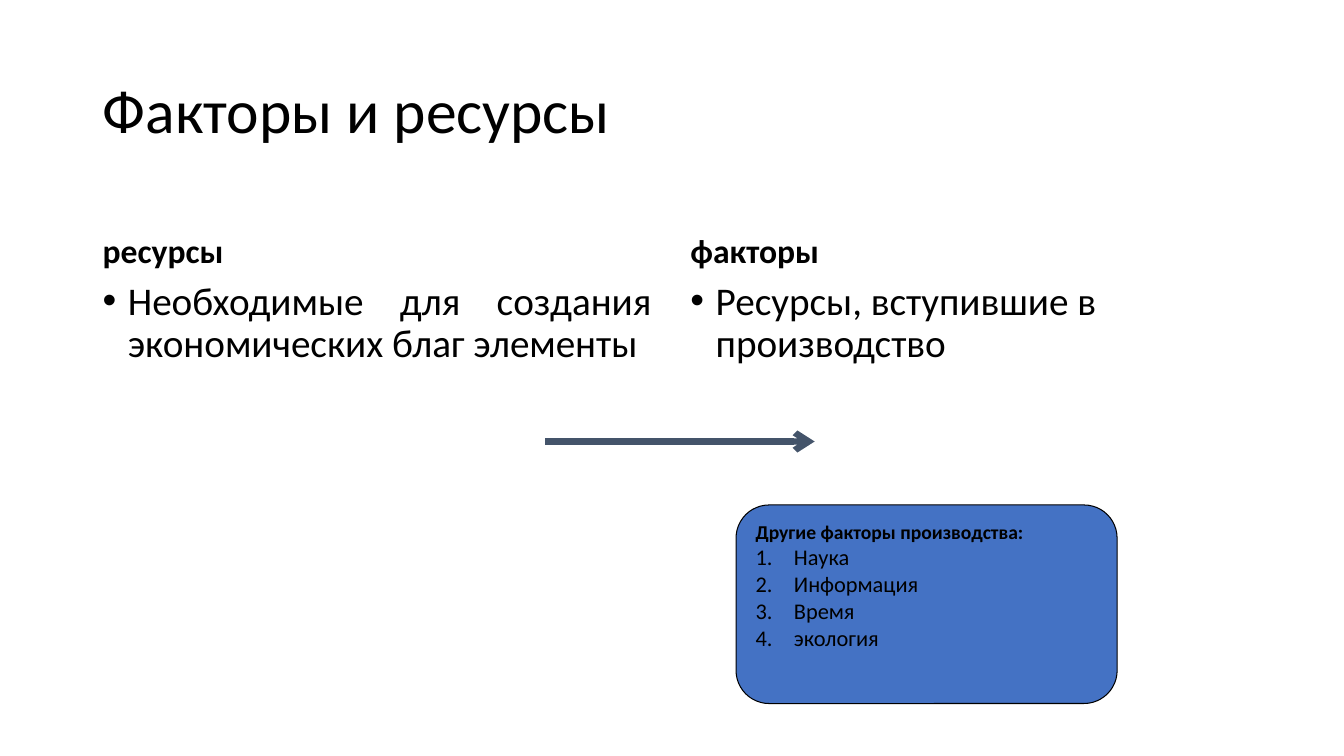
from collections import namedtuple

from lxml import etree
from pptx import Presentation
from pptx.dml.color import RGBColor
from pptx.enum.shapes import MSO_CONNECTOR, MSO_SHAPE
from pptx.enum.text import MSO_ANCHOR, PP_ALIGN
from pptx.oxml.ns import qn
from pptx.util import Emu, Pt

Box = namedtuple("Box", "left top width height")

PX = 9144  # 100 px to the inch
FONT = "Calibri"
BLACK, BLUE, SLATE = "000000", "4472C4", "44546A"
HEADING_HEIGHT = 90


def px(length):
    return Emu(length * PX)


def color(hex_code):
    return RGBColor.from_string(hex_code)


def add_span(para, text, size, bold=False):
    span = para.add_run()
    span.text = text
    span.font.name = FONT
    span.font.size = Pt(size)
    span.font.bold = bold
    span.font.color.rgb = color(BLACK)


def add_marker(para, tag, indent, **attributes):
    """Give the paragraph a hanging bullet or number."""
    properties = para._p.get_or_add_pPr()
    properties.set("marL", str(px(indent)))
    properties.set("indent", str(-px(indent)))
    if tag == "a:buChar":
        etree.SubElement(properties, qn("a:buFont"), typeface="Arial")
    etree.SubElement(properties, qn(tag), **attributes)


def add_text(page, box, text, size, bold=False, anchor=MSO_ANCHOR.TOP, before=10):
    frame = page.shapes.add_textbox(*map(px, box)).text_frame
    frame.word_wrap = True
    frame.vertical_anchor = anchor
    para = frame.paragraphs[0]
    para.line_spacing = 0.9
    para.space_before = Pt(before)
    add_span(para, text, size, bold)
    return para


def add_column(page, box, heading, body, align):
    heading_box = box._replace(height=HEADING_HEIGHT)
    body_box = box._replace(top=box.top + HEADING_HEIGHT,
                            height=box.height - HEADING_HEIGHT)
    add_text(page, heading_box, heading, 24, bold=True, anchor=MSO_ANCHOR.BOTTOM)
    para = add_text(page, body_box, body, 28)
    para.alignment = align
    add_marker(para, "a:buChar", 25, char="•")


def add_arrow(page, box):
    arrow = page.shapes.add_connector(
        MSO_CONNECTOR.STRAIGHT, px(box.left), px(box.top),
        px(box.left + box.width), px(box.top + box.height))
    arrow.line.color.rgb = color(SLATE)
    arrow.line.width = Pt(4.5)
    etree.SubElement(arrow.line._get_or_add_ln(), qn("a:tailEnd"), type="arrow")
    etree.SubElement(arrow._element.spPr, qn("a:effectLst"))


def add_factor_card(page, box, heading, factors):
    card = page.shapes.add_shape(MSO_SHAPE.ROUNDED_RECTANGLE, *map(px, box))
    card.shadow.inherit = False
    card.fill.solid()
    card.fill.fore_color.rgb = color(BLUE)
    card.line.color.rgb = color(BLACK)
    card.line.width = Pt(0.75)
    frame = card.text_frame
    frame.word_wrap = True
    frame.vertical_anchor = MSO_ANCHOR.TOP
    para = frame.paragraphs[0]
    para.alignment = PP_ALIGN.LEFT
    add_span(para, heading, 14, bold=True)
    for factor in factors:
        para = frame.add_paragraph()
        para.alignment = PP_ALIGN.LEFT
        add_span(para, factor, 16)
        add_marker(para, "a:buAutoNum", 38, type="arabicPeriod")


def main():
    deck = Presentation()
    deck.slide_width, deck.slide_height = px(1333), px(750)
    page = deck.slides.add_slide(deck.slide_layouts[6])

    add_text(page, Box(92, 40, 1150, 145), "Факторы и ресурсы", 44,
             anchor=MSO_ANCHOR.MIDDLE, before=0)
    add_column(page, Box(92, 184, 564, 493), "ресурсы",
               "Необходимые для создания экономических благ элементы",
               PP_ALIGN.JUSTIFY)
    add_column(page, Box(675, 184, 567, 493), "факторы",
               "Ресурсы, вступившие в производство", PP_ALIGN.LEFT)
    add_arrow(page, Box(541, 438, 267, 0))
    add_factor_card(page, Box(730, 501, 378, 197), "Другие факторы производства:",
                    ["Наука", "Информация", "Время", "экология"])

    deck.save("out.pptx")


if __name__ == "__main__":
    main()
